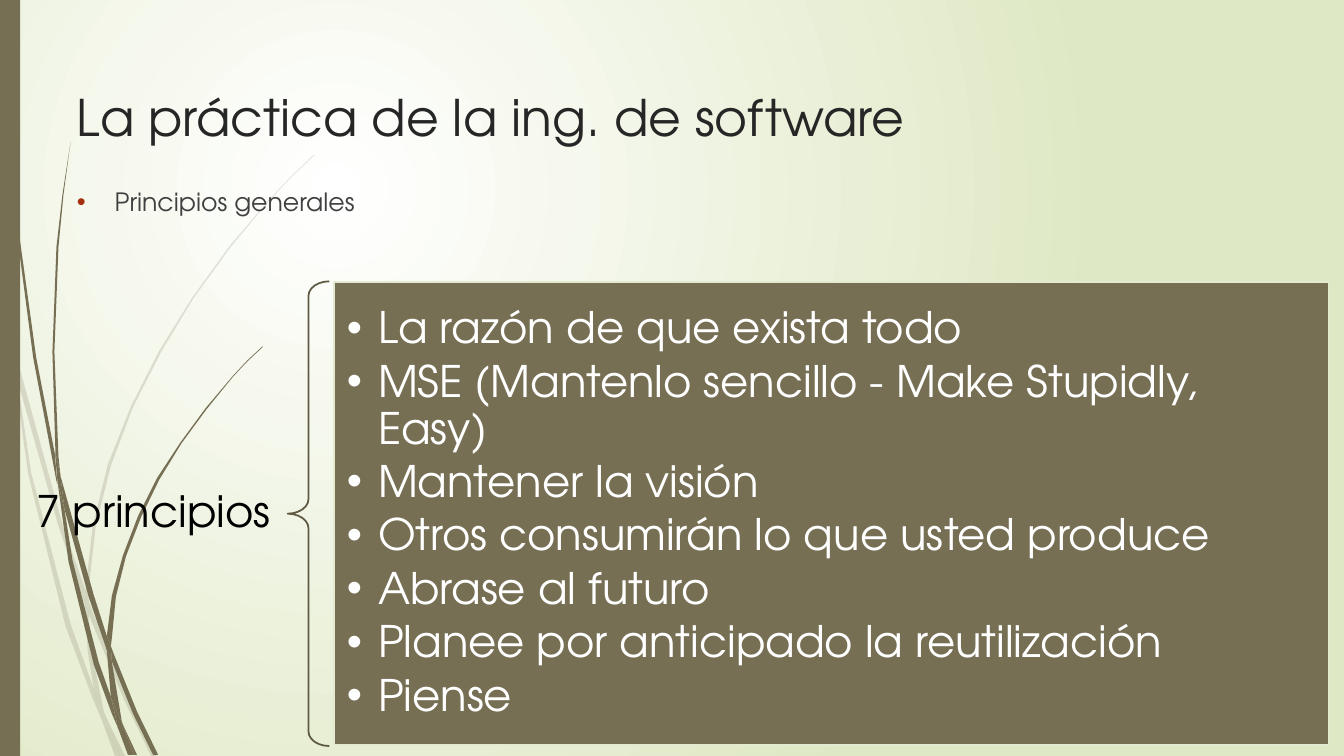
from dataclasses import dataclass

from pptx import Presentation
from pptx.dml.color import RGBColor
from pptx.enum.shapes import MSO_SHAPE
from pptx.enum.text import MSO_ANCHOR, MSO_AUTO_SIZE, PP_ALIGN
from pptx.oxml import parse_xml
from pptx.oxml.ns import nsdecls, qn
from pptx.util import Cm, Pt

FONT = "TeX Gyre Adventor"
COLORS = {
    "olive": "766F54", "brace": "5E5943", "edge": "E3EACF", "bg": "DFE8C4",
    "white": "FFFFFF", "black": "000000", "title": "262626", "body": "404040",
    "bullet": "A53010",
}
GRID = 0.0254  # cm per unit of the blade outlines


@dataclass
class Style:
    size: float
    color: str
    inset_x: float
    inset_y: float
    anchor: MSO_ANCHOR = MSO_ANCHOR.MIDDLE
    align: PP_ALIGN = PP_ALIGN.LEFT
    line_spacing: float = 1.0
    before: float = 0
    after: float = 0
    indent: float = 0
    bullet: str = ""


@dataclass
class Blades:
    """Closed outlines, as the corner points of each piece of grass."""
    alpha: int
    outlines: list[str]


TITLE = Style(36, "title", 0.25, 0.25, MSO_ANCHOR.BOTTOM)
SUBTITLE = Style(18, "body", 0.25, 0.25, MSO_ANCHOR.TOP, before=10, indent=0.95, bullet="bullet")
LABEL = Style(31, "black", 0.6, 0.22, align=PP_ALIGN.RIGHT, line_spacing=0.9, after=10.85)
LIST = Style(31, "white", 0.33, 0.33, line_spacing=0.9, after=4.65, indent=0.79, bullet="white")

PRINCIPLES = [
    "La razón de que exista todo",
    "MSE (Mantenlo sencillo - Make Stupidly, Easy)",
    "Mantener la visión",
    "Otros consumirán lo que usted produce",
    "Abrase al futuro",
    "Planee por anticipado la reutilización",
    "Piense",
]

PALE = Blades(20, [
    "11,350 9,322 0,282 0,299 10,344",
    "58,522 84,599 85,586 62,520 14,345 17,376",
    "92,607 88,596 88,610 123,694 150,750 155,750 127,692",
    "119,750 124,750 105,711",
    "93,683 70,619 31,469 17,376 11,350 28,470 65,621 92,693 101,714 99,707",
    "84,599 87,646 93,683 96,692 105,711 103,706 91,646 88,610 88,608",
    "88,584 95,522 110,462 132,404 160,349 192,296 229,245 268,198 290,175 312,154 312,153 "
    "289,175 268,197 228,244 191,295 158,348 130,403 107,461 92,522 85,584 85,586 88,596",
    "101,714 114,750 119,750",
    "88,608 88,610 88,596 85,586 84,599",
    "96,692 93,683 99,707 101,714 119,750 105,711",
])
DARK = Blades(100, [
    "7,110 17,233 33,355 56,477 57,481 55,457 55,453 36,355 19,232 8,109 5,48 4,0 3,0 4,48",
    "88,592 106,645 106,633 106,631 93,590 60,472 64,505",
    "113,649 110,641 111,656 132,708 152,749 157,749 136,706",
    "110,691 98,657 72,556 64,505 57,477 68,557 93,659 111,708 117,722 116,717",
    "60,472 58,453 54,349 58,245 63,193 70,141 62,193 56,245 52,349 55,449",
    "133,749 136,749 122,719",
    "57,477 64,505 60,472 55,449 55,453",
    "111,633 115,592 125,552 140,513 158,476 180,440 205,406 231,374 245,359 261,344 260,344 "
    "245,358 231,373 204,405 179,439 156,474 137,512 122,551 111,591 106,631 110,641",
    "117,722 127,749 131,749",
    "106,645 110,691 116,706 122,719 121,716 111,656 109,651",
    "106,645 109,651 111,656 110,641 106,631 106,633",
    "116,706 110,691 116,717 117,722 130,749 133,749 122,719",
])


def rgb(name: str) -> RGBColor:
    return RGBColor.from_string(COLORS[name])


def paint(sp, fill: str = "", line: str = "") -> None:
    sp.shadow.inherit = False
    if fill:
        sp.fill.solid()
        sp.fill.fore_color.rgb = rgb(fill)
    else:
        sp.fill.background()
    if line:
        sp.line.color.rgb = rgb(line)
        sp.line.width = Pt(1.25)
    else:
        sp.line.fill.background()


def draw_blades(s, blades: Blades) -> None:
    for outline in blades.outlines:
        pairs = [pair.split(",") for pair in outline.split()]
        start, *rest = [(Cm(int(x) * GRID), Cm(int(y) * GRID)) for x, y in pairs]
        builder = s.shapes.build_freeform(*start)
        builder.add_line_segments(rest, close=True)
        sp = builder.convert_to_shape()
        paint(sp, "olive")
        if blades.alpha < 100:
            color = next(sp._element.spPr.iter(qn("a:srgbClr")))
            color.append(parse_xml(f'<a:alpha {nsdecls("a")} val="{blades.alpha * 1000}"/>'))


def add_bullet(p, style: Style) -> None:
    pPr = p._p.get_or_add_pPr()
    pPr.set("marL", str(Cm(style.indent)))
    pPr.set("indent", str(-Cm(style.indent)))
    for xml in (f'<a:buClr {nsdecls("a")}><a:srgbClr val="{COLORS[style.bullet]}"/></a:buClr>',
                f'<a:buFont {nsdecls("a")} typeface="Arial"/>',
                f'<a:buChar {nsdecls("a")} char="•"/>'):
        pPr.append(parse_xml(xml))


def write(sp, lines: list[str], style: Style) -> None:
    tf = sp.text_frame
    tf.word_wrap = True
    tf.auto_size = MSO_AUTO_SIZE.NONE
    tf.vertical_anchor = style.anchor
    tf.margin_left = tf.margin_right = Cm(style.inset_x)
    tf.margin_top = tf.margin_bottom = Cm(style.inset_y)
    for i, line in enumerate(lines):
        p = tf.add_paragraph() if i else tf.paragraphs[0]
        p.alignment = style.align
        p.line_spacing = style.line_spacing
        p.space_before, p.space_after = Pt(style.before), Pt(style.after)
        if style.bullet:
            add_bullet(p, style)
        r = p.add_run()
        r.text = line
        r.font.name, r.font.size = FONT, Pt(style.size)
        r.font.color.rgb = rgb(style.color)


def set_background(s) -> None:
    fill = s.background.fill
    fill.gradient()
    for stop, name in zip(fill.gradient_stops, ("white", "bg")):
        stop.color.rgb = rgb(name)
    grad = next(s._element.iter(qn("a:gradFill")))
    grad.remove(grad.find(qn("a:lin")))
    grad.append(parse_xml(f'<a:path {nsdecls("a")} path="circle">'
                          '<a:fillToRect l="50000" t="50000" r="100000" b="100000"/></a:path>'))


def main() -> None:
    prs = Presentation()
    prs.slide_width, prs.slide_height = Cm(33.87), Cm(19.05)
    s = prs.slides.add_slide(prs.slide_layouts[5])
    set_background(s)

    # Grass blades and side bar
    draw_blades(s, PALE)
    draw_blades(s, DARK)
    bar = s.shapes.add_shape(MSO_SHAPE.RECTANGLE, 0, 0, Cm(0.51), prs.slide_height)
    paint(bar, "olive")

    # Title, raised above the blades, and subtitle
    title = s.shapes.title
    title.left, title.top, title.width, title.height = Cm(1.69), Cm(0.76), Cm(30.48), Cm(3.18)
    write(title, ["La práctica de la ing. de software"], TITLE)
    s.shapes._spTree.append(title._element)
    subtitle = s.shapes.add_textbox(Cm(1.69), Cm(4.45), Cm(30.48), Cm(2.6))
    write(subtitle, ["Principios generales"], SUBTITLE)

    # Label, brace and list of principles
    label = s.shapes.add_textbox(Cm(0.1), Cm(12.09), Cm(7.32), Cm(1.7))
    write(label, ["7 principios"], LABEL)
    brace = s.shapes.add_shape(MSO_SHAPE.LEFT_BRACE, Cm(7.25), Cm(7.09), Cm(1.05), Cm(11.71))
    brace.adjustments[0], brace.adjustments[1] = 0.35, 0.5
    paint(brace, line="brace")
    panel = s.shapes.add_shape(MSO_SHAPE.RECTANGLE, Cm(8.41), Cm(7.11), Cm(25.07), Cm(11.66))
    paint(panel, "olive", "edge")
    write(panel, PRINCIPLES, LIST)

    prs.save("out.pptx")


if __name__ == "__main__":
    main()
